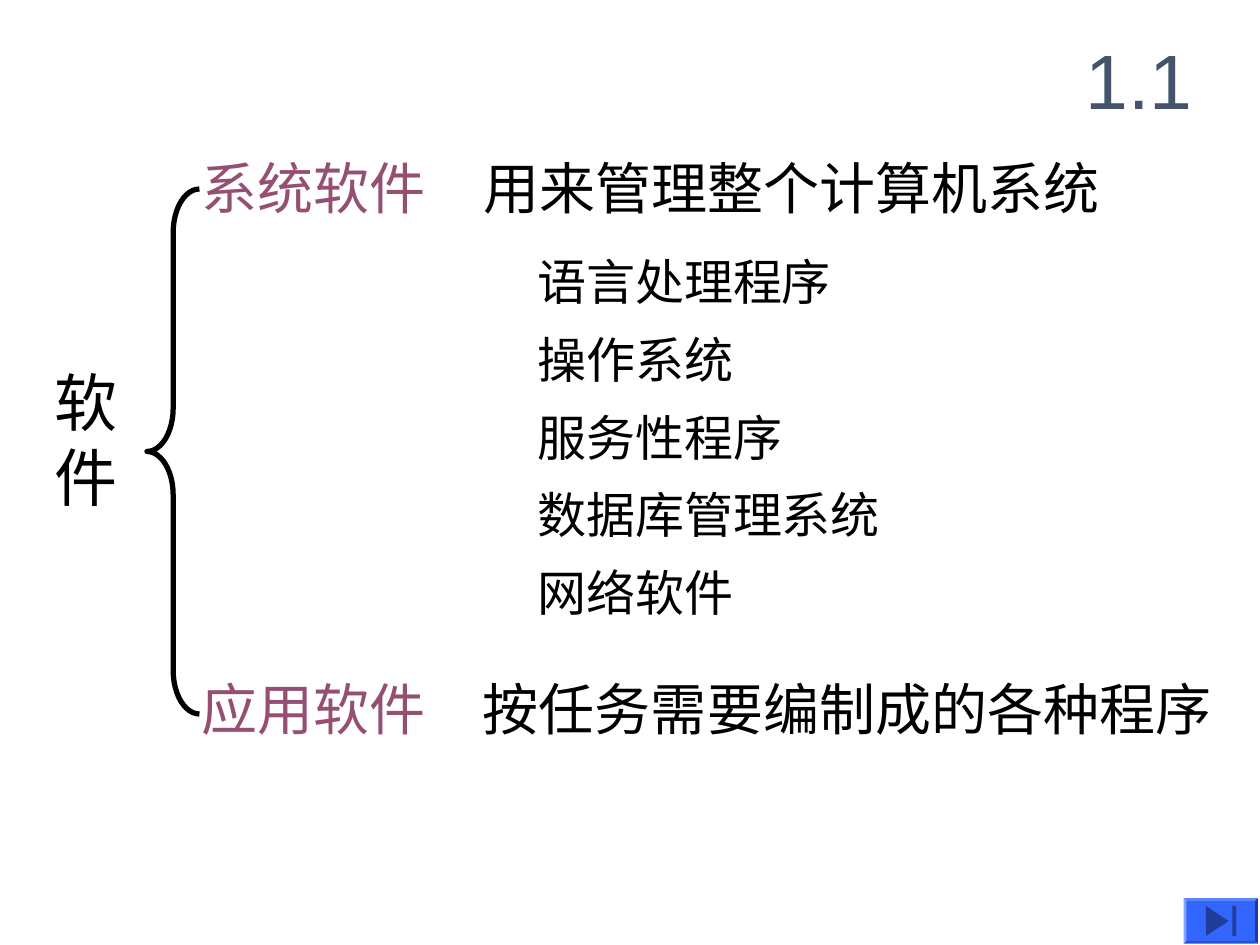
from dataclasses import dataclass
from pptx import Presentation
from pptx.dml.color import RGBColor as Rgb
from pptx.enum.shapes import MSO_SHAPE as Kind
from pptx.enum.text import MSO_ANCHOR as Anchor, MSO_AUTO_SIZE as Auto, PP_ALIGN as Align
from pptx.util import Pt

BLACK, PLUM, SLATE = "000000", "954F72", "44546A"
BLUE, NAVY = "3366FF", "1F3D99"
SERIF = "Times New Roman"


@dataclass
class Label:
    lines: tuple[str, ...]
    left: float
    top: float
    width: float
    height: float
    size: float = 32
    color: str = BLACK
    inset: float = 7.2
    wrap: bool = True


def paint(target, color: str) -> None:
    target.solid()
    target.fore_color.rgb = Rgb.from_string(color)


def place(shape, left: float, top: float, width: float, height: float) -> None:
    shape.left, shape.top = Pt(left), Pt(top)
    shape.width, shape.height = Pt(width), Pt(height)


def write(para, text: str, size: float, color: str, face: str) -> None:
    run = para.add_run()
    run.text = text
    run.font.size = Pt(size)
    run.font.name = face
    paint(run.font.fill, color)


def draw_label(slide, label: Label) -> None:
    box = slide.shapes.add_textbox(0, 0, 0, 0)
    frame = box.text_frame
    frame.word_wrap = label.wrap
    frame.auto_size = Auto.SHAPE_TO_FIT_TEXT
    frame.margin_left = Pt(label.inset)
    for i, line in enumerate(label.lines):
        para = frame.add_paragraph() if i else frame.paragraphs[0]
        write(para, line, label.size, label.color, SERIF)
    place(box, label.left, label.top, label.width, label.height)


def draw_solid(slide, kind: Kind, color: str, left: float, top: float,
               width: float, height: float):
    shape = slide.shapes.add_shape(kind, Pt(left), Pt(top), Pt(width), Pt(height))
    shape.shadow.inherit = False
    paint(shape.fill, color)
    shape.line.fill.background()
    return shape


def draw_title(slide) -> None:
    title = slide.shapes.title
    place(title, 606, 12, 90, 66)
    frame = title.text_frame
    frame.auto_size = Auto.NONE
    frame.vertical_anchor = Anchor.MIDDLE
    para = frame.paragraphs[0]
    para.alignment = Align.CENTER
    write(para, "1.1", 44, SLATE, "Arial")


def draw_brace(slide) -> None:
    brace = slide.shapes.add_shape(Kind.LEFT_BRACE, Pt(84), Pt(108), Pt(30), Pt(300))
    brace.shadow.inherit = False
    brace.fill.background()
    paint(brace.line.fill, BLACK)
    brace.line.width = Pt(3)
    brace.adjustments[0] = 0.83


def draw_button(slide) -> None:
    base = draw_solid(slide, Kind.BEVEL, BLUE, 676.4, 513.2, 42.4, 26)
    base.adjustments[0] = 0.06
    tip = draw_solid(slide, Kind.ISOSCELES_TRIANGLE, NAVY, 686.9, 519.8, 17.3, 13)
    tip.rotation = 90
    draw_solid(slide, Kind.RECTANGLE, NAVY, 704.2, 517.7, 2.2, 17.3)


def main() -> None:
    deck = Presentation()
    deck.slide_width, deck.slide_height = Pt(720), Pt(540)
    slide = deck.slides.add_slide(deck.slide_layouts[5])
    draw_title(slide)
    draw_brace(slide)
    draw_label(slide, Label(("软", "件"), 24, 204, 50.4, 93.6, 36, wrap=False))

    groups = (
        ("系统软件", "用来管理整个计算机系统", 84, 420),
        ("应用软件", "按任务需要编制成的各种程序", 381.6, 504),
    )
    for name, use, top, width in groups:
        draw_label(slide, Label((name,), 108, top, 180, 46, color=PLUM))
        draw_label(slide, Label((use,), 276, top, width, 46, inset=0))

    items = (
        ("语言处理程序", 220),
        ("操作系统", 169),
        ("服务性程序", 210),
        ("数据库管理系统", 252),
        ("网络软件", 168),
    )
    for i, (name, width) in enumerate(items):
        draw_label(slide, Label((name,), 300, 140.4 + 44.4 * i, width, 41, 28))

    draw_button(slide)
    deck.save("out.pptx")


if __name__ == "__main__":
    main()
